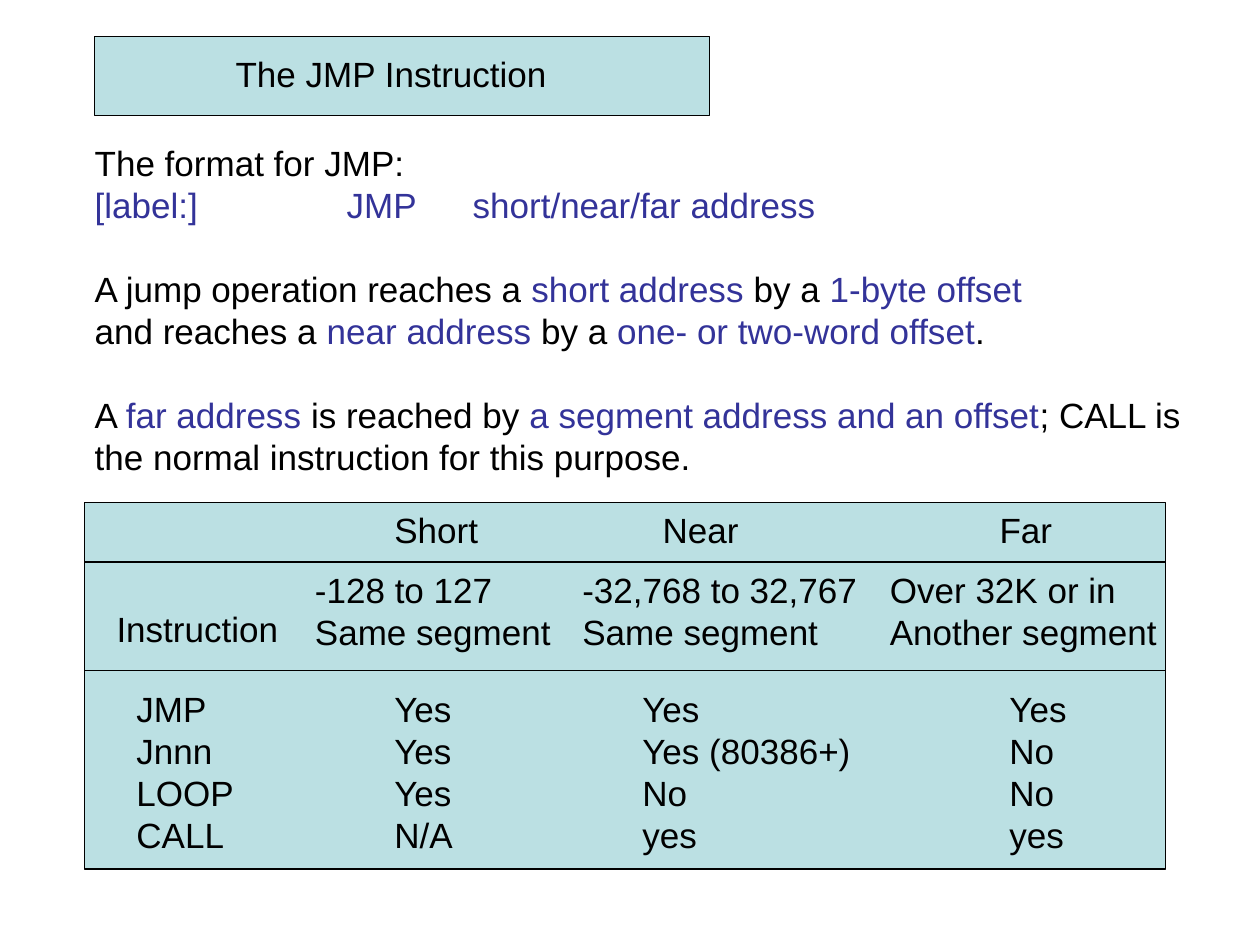
from dataclasses import dataclass

from lxml import etree
from pptx import Presentation
from pptx.dml.color import RGBColor
from pptx.enum import shapes, text
from pptx.oxml import ns
from pptx.util import Cm, Pt


@dataclass(frozen=True)
class Theme:
    font: str = "Arial"
    size: Pt = Pt(20)
    line_pitch: Pt = Pt(24)
    outline: Pt = Pt(0.75)
    ink: RGBColor = RGBColor(0x00, 0x00, 0x00)
    accent: RGBColor = RGBColor(0x33, 0x33, 0x99)
    panel: RGBColor = RGBColor(0xBB, 0xE0, 0xE3)


@dataclass(frozen=True)
class Span:
    words: str
    accent: bool = False


@dataclass(frozen=True)
class Line:
    spans: tuple[Span, ...]
    gap_before: bool = False
    tabs_cm: tuple[float, ...] = ()


@dataclass(frozen=True)
class Block:
    """Lines of text; left, top and width are in centimetres."""
    left: float
    top: float
    width: float
    lines: tuple[Line, ...]


THEME = Theme()
INSET_Y, LINE_HEIGHT = 0.25, 0.85
TABLE_LEFT, TABLE_TOP, TABLE_WIDTH, TABLE_HEIGHT = 1.7, 10.13, 21.79, 7.39
RANGE_TOP, BODY_RULE, BODY_TOP = 11.33, 13.52, 13.73


def plain(left: float, top: float, width: float, *lines: str) -> Block:
    return Block(left, top, width, tuple(Line((Span(words),)) for words in lines))


TITLE = plain(4.5, 0.93, 6.85, "The JMP Instruction")

EXPLANATION = Block(1.66, 2.72, 22.55, (
    Line((Span("The format for JMP:"),)),
    Line((Span("[label:]\t\tJMP\tshort/near/far address", True),),
         tabs_cm=(2.54, 5.08, 7.62)),
    Line((Span("A jump operation reaches a "), Span("short address", True),
          Span(" by a "), Span("1-byte offset", True)), gap_before=True),
    Line((Span("and reaches a "), Span("near address", True), Span(" by a "),
          Span("one- or two-word offset", True), Span("."))),
    Line((Span("A "), Span("far address", True), Span(" is reached by "),
          Span("a segment address and an offset", True), Span("; CALL is")),
         gap_before=True),
    Line((Span("the normal instruction for this purpose."),)),
))

TABLE_BLOCKS = (
    plain(7.7, TABLE_TOP, 2.3, "Short"),
    plain(13.11, TABLE_TOP, 2.15, "Near"),
    plain(19.9, TABLE_TOP, 1.67, "Far"),
    plain(2.1, 12.12, 3.88, "Instruction"),
    plain(2.5, BODY_TOP, 2.58, "JMP", "Jnnn", "LOOP", "CALL"),
    plain(6.1, RANGE_TOP, 5.33, "-128 to 127", "Same segment"),
    plain(11.49, RANGE_TOP, 6.12, "-32,768 to 32,767", "Same segment"),
    plain(17.69, RANGE_TOP, 5.96, "Over 32K or in", "Another segment"),
    plain(7.7, BODY_TOP, 1.8, "Yes", "Yes", "Yes", "N/A"),
    plain(12.7, BODY_TOP, 4.85, "Yes", "Yes (80386+)", "No", "yes"),
    plain(20.1, BODY_TOP, 1.8, "Yes", "No", "No", "yes"),
)


def draw_panel(page, left: float, top: float, width: float, height: float) -> None:
    panel = page.shapes.add_shape(
        shapes.MSO_SHAPE.RECTANGLE, Cm(left), Cm(top), Cm(width), Cm(height))
    panel.shadow.inherit = False
    panel.fill.solid()
    panel.fill.fore_color.rgb = THEME.panel
    panel.line.color.rgb = THEME.ink
    panel.line.width = THEME.outline


def draw_rule(page, top: float) -> None:
    """Draw a horizontal line across the whole table."""
    rule = page.shapes.add_connector(
        shapes.MSO_CONNECTOR.STRAIGHT, Cm(TABLE_LEFT), Cm(top),
        Cm(TABLE_LEFT + TABLE_WIDTH), Cm(top))
    rule.line.color.rgb = THEME.ink
    rule.line.width = THEME.outline
    etree.SubElement(rule._element.spPr, ns.qn("a:effectLst"))


def add_tabs(para, stops: tuple[float, ...]) -> None:
    tabs = etree.SubElement(para._p.get_or_add_pPr(), ns.qn("a:tabLst"))
    for stop in stops:
        etree.SubElement(tabs, ns.qn("a:tab"), pos=str(Cm(stop)), algn="l")


def fill_paragraph(para, line: Line) -> None:
    if line.tabs_cm:
        add_tabs(para, line.tabs_cm)
    para.line_spacing = THEME.line_pitch
    if line.gap_before:
        para.space_before = THEME.line_pitch
    para.font.name = THEME.font
    para.font.size = THEME.size
    for span in line.spans:
        run = para.add_run()
        run.text = span.words
        run.font.color.rgb = THEME.accent if span.accent else THEME.ink


def draw_block(page, block: Block) -> None:
    rows = len(block.lines) + sum(line.gap_before for line in block.lines)
    box = page.shapes.add_textbox(
        Cm(block.left), Cm(block.top), Cm(block.width),
        Cm(INSET_Y + rows * LINE_HEIGHT))
    frame = box.text_frame
    frame.word_wrap = False
    frame.auto_size = text.MSO_AUTO_SIZE.SHAPE_TO_FIT_TEXT
    for index, line in enumerate(block.lines):
        para = frame.add_paragraph() if index else frame.paragraphs[0]
        fill_paragraph(para, line)


def main() -> None:
    deck = Presentation()
    deck.slide_width, deck.slide_height = Cm(25.4), Cm(19.05)
    page = deck.slides.add_slide(deck.slide_layouts[6])

    draw_panel(page, 1.9, 0.73, 12.4, 1.6)
    draw_block(page, TITLE)
    draw_block(page, EXPLANATION)

    draw_panel(page, TABLE_LEFT, TABLE_TOP, TABLE_WIDTH, TABLE_HEIGHT)
    for top in (RANGE_TOP, BODY_RULE):
        draw_rule(page, top)
    for block in TABLE_BLOCKS:
        draw_block(page, block)

    deck.save("out.pptx")


if __name__ == "__main__":
    main()
